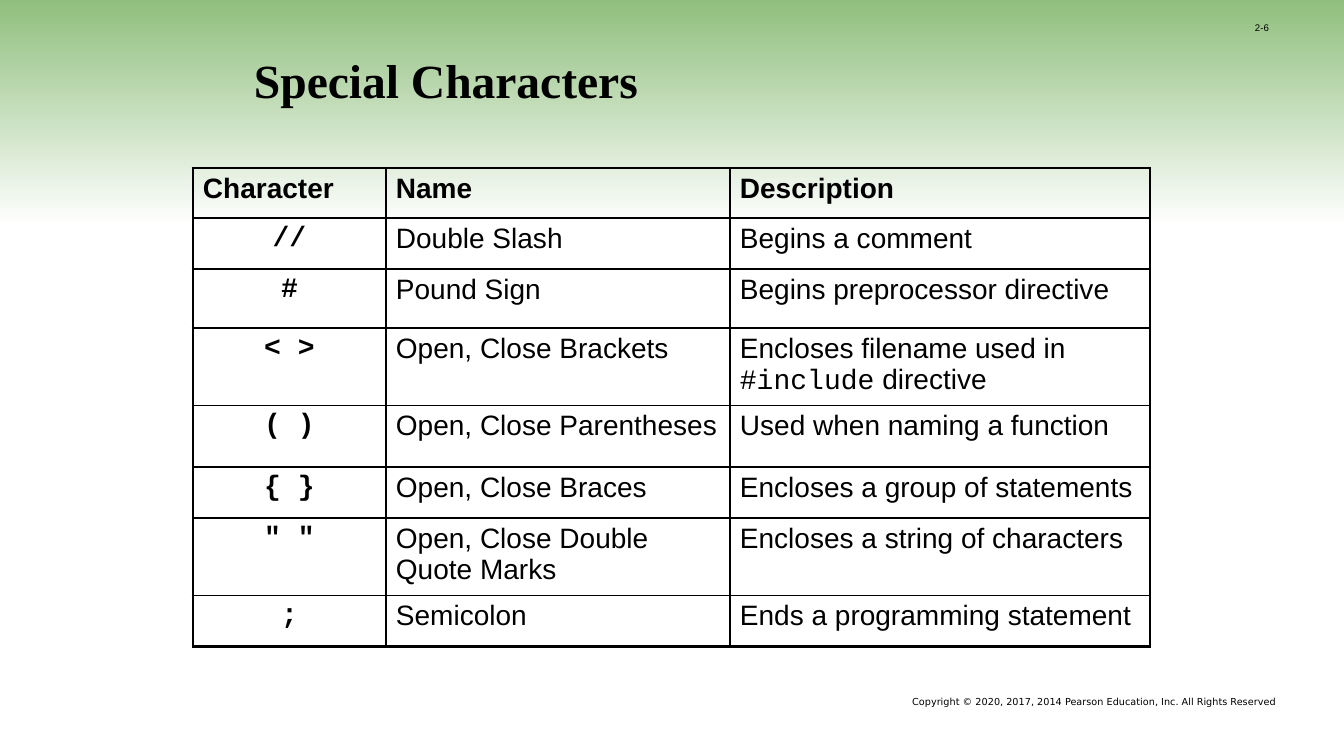
from lxml import etree
from pptx import Presentation, util as u
from pptx.dml.color import RGBColor
from pptx.enum import shapes, text
from pptx.oxml.ns import qn

SANS, MONO = "Arial", "Courier New"
BLACK = RGBColor(0, 0, 0)
WHITE = RGBColor(255, 255, 255)
GREEN = RGBColor(0x8C, 0xBD, 0x79)

TITLE = "Special Characters"
NOTICE = "Copyright © 2020, 2017, 2014 Pearson Education, Inc. All Rights Reserved"
NUMBER = "2-6"
ROWS = [
    ("Character", "Name", "Description"),
    ("//", "Double Slash", "Begins a comment"),
    ("#", "Pound Sign", "Begins preprocessor directive"),
    ("< >", "Open, Close Brackets",
     [("Encloses filename used in ", SANS), ("#include", MONO), (" directive", SANS)]),
    ("( )", "Open, Close Parentheses", "Used when naming a function"),
    ("{ }", "Open, Close Braces", "Encloses a group of statements"),
    ('" "', "Open, Close Double Quote Marks", "Encloses a string of characters"),
    (";", "Semicolon", "Ends a programming statement"),
]
WIDTHS = [193, 344, 420]
HEIGHTS = [50, 51, 59, 77, 62, 51, 77, 51]
THIN, THICK = 1, 2.25


def px(n):
    return u.Emu(round(n * 914400 / 100.8))


def write(frame, words, face=SANS, size=20, bold=False, align="LEFT", base=None):
    para = frame.paragraphs[0]
    para.alignment = getattr(text.PP_ALIGN, align)
    parts = [(words, face)] if isinstance(words, str) else words
    for part, name in parts:
        run = para.add_run()
        run.text = part
        run.font.name = name
        run.font.size = u.Pt(size)
        run.font.bold = bold
        run.font.color.rgb = BLACK
        if base:
            run.font._element.set("baseline", str(base))


def add_box(slide, area, words, anchor="TOP", inset=5, **style):
    frame = slide.shapes.add_textbox(*map(px, area)).text_frame
    frame.word_wrap = True
    frame.vertical_anchor = getattr(text.MSO_ANCHOR, anchor)
    frame.margin_left = frame.margin_right = px(10)
    frame.margin_top = frame.margin_bottom = px(inset)
    write(frame, words, **style)


def add_edge(cell, side, weight):
    line = etree.SubElement(cell._tc.get_or_add_tcPr(), qn("a:ln" + side))
    line.set("w", str(u.Pt(weight)))
    fill = etree.SubElement(line, qn("a:solidFill"))
    etree.SubElement(fill, qn("a:srgbClr")).set("val", str(BLACK))


def add_band(slide):
    band = slide.shapes.add_shape(shapes.MSO_SHAPE.PENTAGON, *map(px, (0, -8, 1344, 235)))
    band.adjustments[0] = 0
    band.shadow.inherit = False
    band.line.fill.background()
    band.fill.gradient()
    band.fill.gradient_angle = 270
    for stop, color in zip(band.fill.gradient_stops, (GREEN, WHITE)):
        stop.color.rgb = color


def add_grid(slide):
    area = (193, 168, sum(WIDTHS), sum(HEIGHTS))
    grid = slide.shapes.add_table(len(ROWS), len(WIDTHS), *map(px, area)).table
    grid.first_row = grid.horz_banding = False
    for col, width in zip(grid.columns, WIDTHS):
        col.width = px(width)
    for row, height in zip(grid.rows, HEIGHTS):
        row.height = px(height)
    end, last = len(ROWS) - 1, len(WIDTHS) - 1
    for r, row in enumerate(ROWS):
        for c, words in enumerate(row):
            cell = grid.cell(r, c)
            cell.margin_left = cell.margin_right = px(10)
            cell.margin_top = cell.margin_bottom = px(5)
            outer = {"L": c == 0, "R": c == last, "T": r == 0, "B": r == end}
            for side, rim in outer.items():
                add_edge(cell, side, THICK if rim else THIN)
            cell.fill.background()
            sign = c == 0 and r > 0
            write(cell.text_frame, words, face=MONO if sign else SANS,
                  bold=c == 0 or r == 0, align="CENTER" if sign else "LEFT")


def main():
    deck = Presentation()
    deck.slide_width, deck.slide_height = px(1344), px(756)
    slide = deck.slides.add_slide(deck.slide_layouts[6])
    add_band(slide)
    add_box(slide, (235, 680, 1052, 22), NOTICE, face="DejaVu Sans", size=12,
            align="RIGHT", base=-25000)
    add_box(slide, (244, 25, 857, 93), TITLE, anchor="BOTTOM", inset=10,
            face="Times New Roman", size=34, bold=True)
    add_grid(slide)
    add_box(slide, (1245, 12, 81, 20), NUMBER, anchor="MIDDLE", size=12, base=-25000)
    deck.save("out.pptx")


if __name__ == "__main__":
    main()
